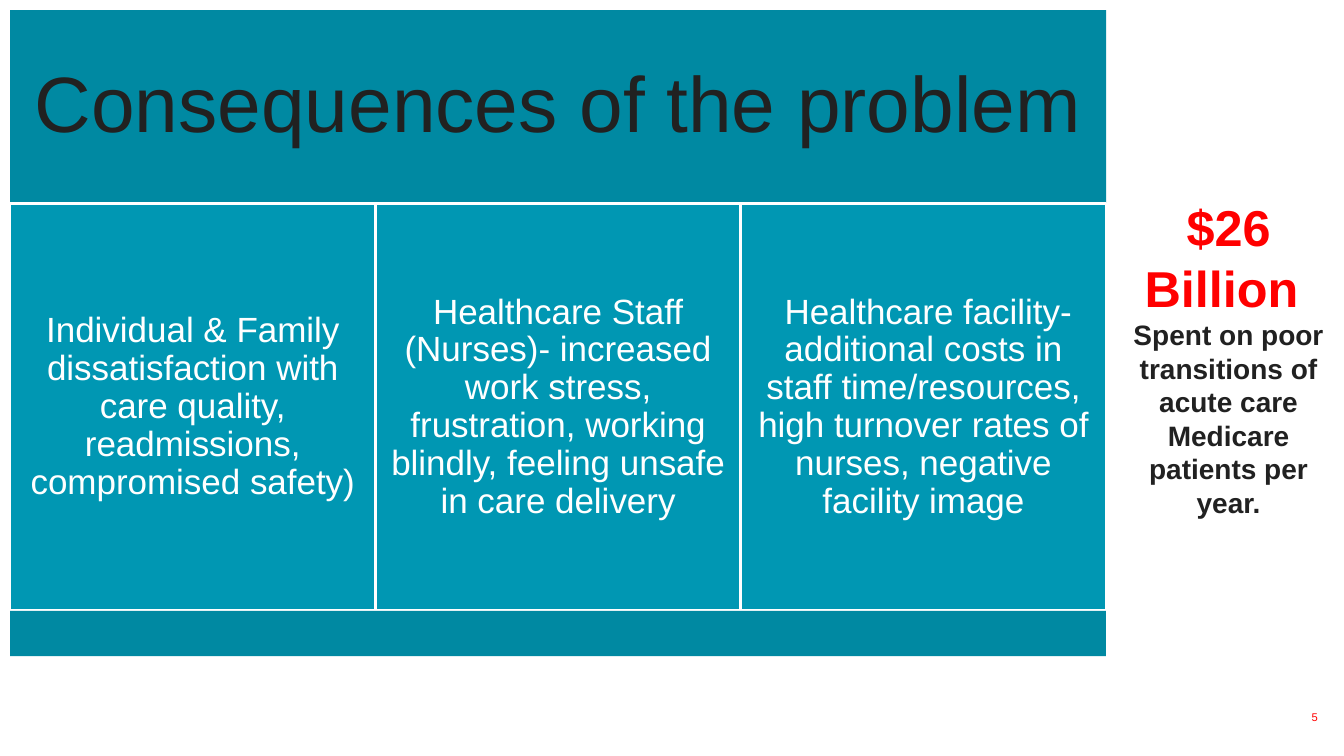
from pptx import Presentation
from pptx.dml.color import RGBColor
from pptx.enum.shapes import MSO_SHAPE as Shape
from pptx.enum.text import MSO_ANCHOR as Anchor, MSO_AUTO_SIZE as AutoSize, PP_ALIGN as Align
from pptx.util import Inches, Pt

COLORS = {"band": "0089A2", "card": "0097B3", "white": "FFFFFF", "ink": "212121", "red": "FF0000"}
TITLE = {"size": 56, "color": "ink"}
CARD = {"size": 25, "color": "white"}
FIGURE = {"size": 36, "color": "red", "bold": True}
CAPTION = {"size": 20, "color": "ink", "bold": True}
NUMBER = {"size": 8, "color": "red"}
CONSEQUENCES = [
    "Individual & Family dissatisfaction with care quality, readmissions, compromised safety)",
    "Healthcare Staff (Nurses)- increased work stress, frustration, working blindly, feeling unsafe in care delivery",
    " Healthcare facility- additional costs in staff time/resources, high turnover rates of nurses, negative facility image",
]


def color(name):
    """Return the named palette colour."""
    return RGBColor.from_string(COLORS[name])


def paint(shape, fill):
    """Give a shape a plain fill without an outline."""
    shape.fill.solid()
    shape.fill.fore_color.rgb = color(fill)
    shape.line.fill.background()


def write(shape, lines, inset, anchor=Anchor.MIDDLE, align=Align.CENTER, spacing=None):
    """Write (text, format) lines as the paragraphs of a shape."""
    frame = shape.text_frame
    margins = {f"margin_{side}": Inches(inset) for side in ("left", "top", "right", "bottom")}
    settings = {"word_wrap": True, "auto_size": AutoSize.NONE, "vertical_anchor": anchor, **margins}
    for name, value in settings.items():
        setattr(frame, name, value)
    for index, (text, style) in enumerate(lines):
        para = frame.add_paragraph() if index else frame.paragraphs[0]
        para.alignment = align
        if spacing:
            para.line_spacing = spacing
        span = para.add_run()
        span.text = text
        values = {"name": "Arial", "size": Pt(style["size"]), "bold": style.get("bold", False)}
        for name, value in values.items():
            setattr(span.font, name, value)
        span.font.color.rgb = color(style["color"])


def add_header(page, left, top, width, height):
    """Place the title placeholder as a filled band."""
    title = page.shapes.title
    place = {"left": left, "top": top, "width": width, "height": height}
    for name, value in place.items():
        setattr(title, name, Inches(value))
    paint(title, "band")
    write(title, [("Consequences of the problem", TITLE)], 0.23, spacing=0.9)


def add_box(page, left, top, width, height, fill):
    """Add a filled rectangle without a shadow."""
    box = page.shapes.add_shape(Shape.RECTANGLE, *map(Inches, (left, top, width, height)))
    box.shadow.inherit = False
    paint(box, fill)
    return box


def add_cards(page, left, top, width, height):
    """Split the area into one equal card per consequence."""
    step = width / len(CONSEQUENCES)
    for index, text in enumerate(CONSEQUENCES):
        card = add_box(page, left + index * step, top, step, height, "card")
        card.line.color.rgb = color("white")
        card.line.width = Pt(2)
        write(card, [(text, CARD)], 0.1, spacing=0.9)


def add_text(page, left, top, width, height, lines, inset, **layout):
    """Add a text box holding the given lines."""
    box = page.shapes.add_textbox(*map(Inches, (left, top, width, height)))
    write(box, lines, inset, **layout)


def build_slide(deck):
    """Build the consequences slide."""
    page = deck.slides.add_slide(deck.slide_layouts[5])
    left, width = 0.1, 10.87
    add_header(page, left, 0.1, width, 1.92)
    add_cards(page, left, 2.02, width, 4.04)
    add_box(page, left, 6.06, width, 0.45, "band")
    cost = [
        ("$26 Billion ", FIGURE),
        ("Spent on poor transitions of acute care Medicare patients per year.", CAPTION),
    ]
    add_text(page, 11.14, 1.95, 2.09, 4.07, cost, 0, anchor=Anchor.TOP)
    add_text(page, 12.67, 6.93, 0.5, 0.36, [("5", NUMBER)], 0.1, align=Align.RIGHT)


def main():
    """Create and save the deck."""
    deck = Presentation()
    deck.slide_width, deck.slide_height = Inches(13.33), Inches(7.5)
    build_slide(deck)
    deck.save("out.pptx")


if __name__ == "__main__":
    main()
